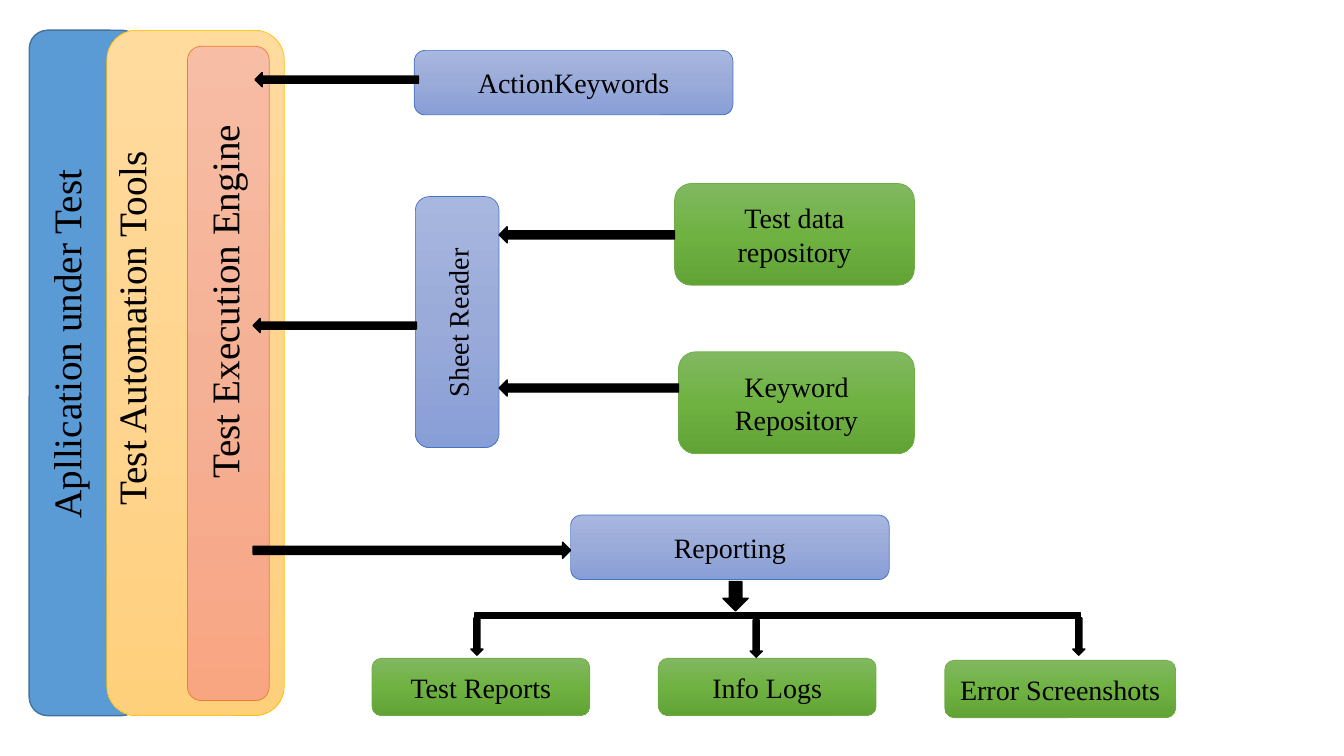
"""Builds a one-slide diagram of a keyword-driven test framework."""
import copy

import pptx
import pptx.util
import pptx.dml.color
import pptx.enum.shapes
import pptx.enum.text
import pptx.oxml.ns

SHAPE = pptx.enum.shapes.MSO_SHAPE
ALIGN = pptx.enum.text.PP_ALIGN
ANCHOR = pptx.enum.text.MSO_ANCHOR
BLACK = "000000"
BLUE = (["A8B7DF", "9AABD9", "889ED7"], "4472C4", 0.5)
GREEN = (["81B861", "6FB242", "62A336"], "70AD47", 0.5)
GOLD = (["FFDB9E", "FFD590", "FFD07C"], "FFC000", 0.5)
CORAL = (["F7BDA5", "F5B196", "F8A582"], "ED7D31", 0.5)
AZURE = (["5B9BD5"], "43739E", 1)
INK = ([BLACK], BLACK, 1)


def color(code):
    return pptx.dml.color.RGBColor.from_string(code)


class Board:
    font = "Times New Roman"
    scale = 9144

    def __init__(self, slide):
        self.slide = slide

    def units(self, rect):
        return [px * self.scale for px in rect]

    def text(self, frame, words, size, align):
        para = frame.paragraphs[0]
        para.alignment = align
        run = para.add_run()
        run.text = words
        run.font.name = self.font
        run.font.size = pptx.util.Pt(size)
        run.font.color.rgb = color(BLACK)

    def paint(self, shape, tones):
        if len(tones) == 1:
            shape.fill.solid()
            shape.fill.fore_color.rgb = color(tones[0])
            return
        shape.fill.gradient()
        shape.fill.gradient_angle = 270
        stops = shape._element.find(".//" + pptx.oxml.ns.qn("a:gsLst"))
        stops.insert(1, copy.deepcopy(stops[0]))
        for stop, tone, place in zip(shape.fill.gradient_stops, tones, (0, 0.5, 1)):
            stop.color.rgb = color(tone)
            stop.position = place

    def shape(self, kind, rect, style):
        tones, edge, width = style
        item = self.slide.shapes.add_shape(kind, *self.units(rect))
        item.shadow.inherit = False
        self.paint(item, tones)
        item.line.color.rgb = color(edge)
        item.line.width = pptx.util.Pt(width)
        return item

    def box(self, rect, style, words=None):
        item = self.shape(SHAPE.ROUNDED_RECTANGLE, rect, style)
        if words:
            frame = item.text_frame
            frame.word_wrap = True
            frame.vertical_anchor = ANCHOR.MIDDLE
            self.text(frame, words, 20, ALIGN.CENTER)

    def label(self, rect, words, size, align=ALIGN.CENTER, wrap=True):
        item = self.slide.shapes.add_textbox(*self.units(rect))
        item.rotation = 270
        frame = item.text_frame
        frame.word_wrap = wrap
        frame.auto_size = pptx.enum.text.MSO_AUTO_SIZE.SHAPE_TO_FIT_TEXT
        self.text(frame, words, size, align)


def main():
    deck = pptx.Presentation()
    deck.slide_width = pptx.util.Inches(13.33)
    deck.slide_height = pptx.util.Inches(7.5)
    board = Board(deck.slides.add_slide(deck.slide_layouts[6]))

    board.box((29, 30, 110, 680), AZURE)
    board.label((-199, 313, 529, 57), "Apllication under Test", 28)
    board.box((106, 30, 176, 680), GOLD)
    board.label((-87, 266, 434, 57), "Test Automation Tools", 28, ALIGN.LEFT)
    board.box((186, 46, 81, 649), CORAL)
    board.label((21, 271, 402, 57), "Test Execution Engine", 28)

    board.box((412, 195, 83, 249), BLUE)
    board.label((369, 297, 170, 44), "Sheet Reader", 20, ALIGN.LEFT, False)

    for rect, style, words in (
        ((411, 50, 316, 64), BLUE, "ActionKeywords"),
        ((669, 182, 238, 101), GREEN, "Test data repository"),
        ((673, 349, 234, 101), GREEN, "Keyword Repository"),
        ((566, 511, 316, 64), BLUE, "Reporting"),
        ((369, 653, 216, 57), GREEN, "Test Reports"),
        ((653, 653, 216, 57), GREEN, "Info Logs"),
        ((937, 655, 229, 57), GREEN, "Error Screenshots"),
    ):
        board.box(rect, style, words)

    for kind, rect in (
        (SHAPE.LEFT_ARROW, (253, 72, 162, 14)),
        (SHAPE.LEFT_ARROW, (251, 316, 162, 14)),
        (SHAPE.LEFT_ARROW, (495, 225, 174, 16)),
        (SHAPE.LEFT_ARROW, (495, 377, 178, 16)),
        (SHAPE.RIGHT_ARROW, (251, 538, 315, 16)),
        (SHAPE.DOWN_ARROW, (717, 577, 25, 29)),
        (SHAPE.RECTANGLE, (471, 608, 601, 5)),
        (SHAPE.DOWN_ARROW, (467, 613, 12, 37)),
        (SHAPE.DOWN_ARROW, (744, 615, 12, 37)),
        (SHAPE.DOWN_ARROW, (1064, 613, 12, 37)),
    ):
        board.shape(kind, rect, INK)

    deck.save("out.pptx")


if __name__ == "__main__":
    main()
